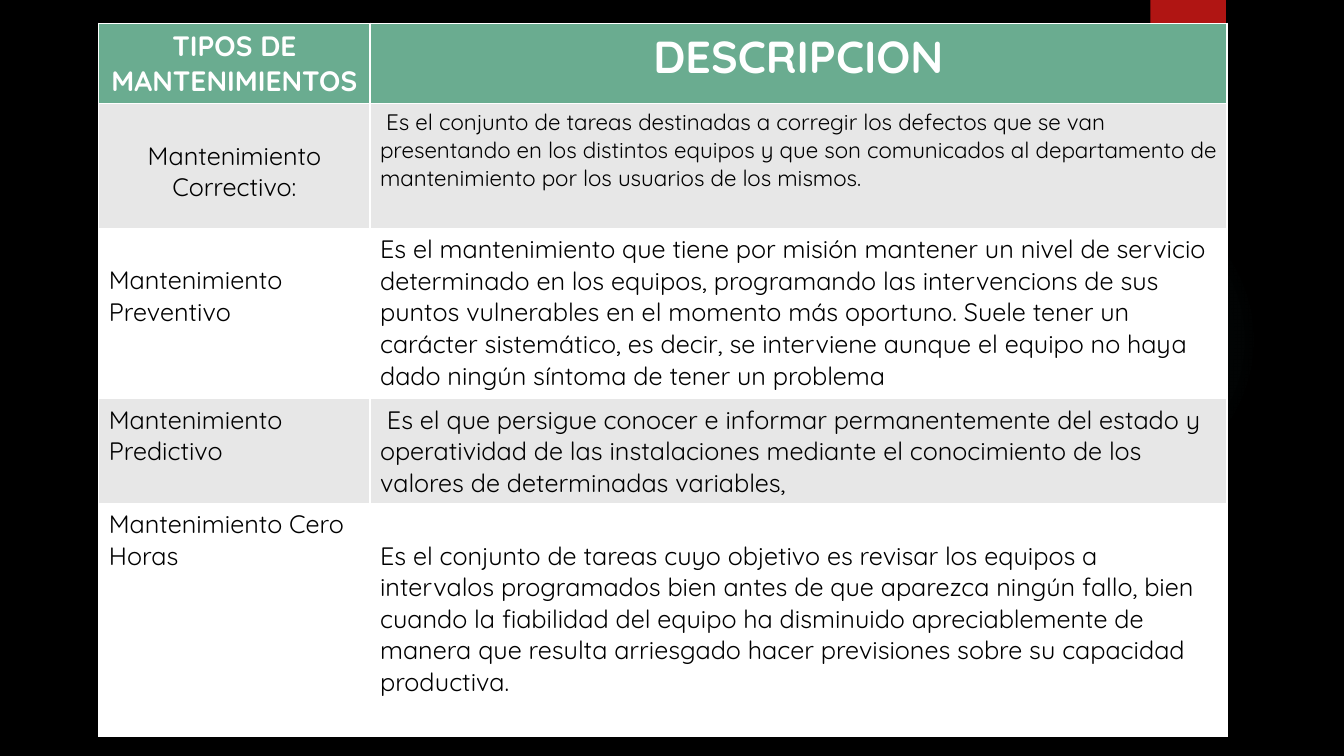
from dataclasses import dataclass

from lxml.etree import SubElement
from pptx import Presentation
from pptx.dml.color import RGBColor
from pptx.enum.shapes import MSO_SHAPE
from pptx.enum.text import PP_ALIGN
from pptx.oxml import parse_xml
from pptx.oxml.ns import nsdecls, qn
from pptx.util import Inches, Pt


@dataclass(frozen=True)
class Theme:
    font: str = "Quicksand"
    background: str = "000000"
    glow: str = "50B9C1"
    ribbon: str = "B01513"
    header: str = "6AAC90"
    band: str = "E7E7E7"
    white: str = "FFFFFF"
    text: str = "000000"
    title_size: int = 32
    heading_size: int = 20
    body_size: int = 18
    small_size: int = 16
    border_width: int = 1


@dataclass(frozen=True)
class Entry:
    text: str
    size: int = Theme.body_size
    centred: bool = False
    bold: bool = False
    lowered: bool = False


THEME = Theme()
COLUMN_WIDTHS = (2.69, 8.5)
ROW_HEIGHTS = (0.79, 1.24, 1.69, 1.02, 2.31)
LOWERED_MARGIN = 0.36

ROWS = (
    (
        Entry("TIPOS DE MANTENIMIENTOS", THEME.heading_size, centred=True, bold=True),
        Entry("DESCRIPCION", THEME.title_size, centred=True, bold=True),
    ),
    (
        Entry("Mantenimiento Correctivo:", centred=True, lowered=True),
        Entry(
            " Es el conjunto de tareas destinadas a corregir los defectos que se van "
            "presentando en los distintos equipos y que son comunicados al departamento de "
            "mantenimiento por los usuarios de los mismos.",
            THEME.small_size,
        ),
    ),
    (
        Entry("Mantenimiento Preventivo", lowered=True),
        Entry(
            "Es el mantenimiento que tiene por misión mantener un nivel de servicio "
            "determinado en los equipos, programando las intervencions de sus puntos "
            "vulnerables en el momento más oportuno. Suele tener un carácter sistemático, "
            "es decir, se interviene aunque el equipo no haya dado ningún síntoma de tener "
            "un problema"
        ),
    ),
    (
        Entry("Mantenimiento Predictivo"),
        Entry(
            " Es el que persigue conocer e informar permanentemente del estado y "
            "operatividad de las instalaciones mediante el conocimiento de los valores de "
            "determinadas variables,"
        ),
    ),
    (
        Entry("Mantenimiento Cero Horas"),
        Entry(
            "Es el conjunto de tareas cuyo objetivo es revisar los equipos a intervalos "
            "programados bien antes de que aparezca ningún fallo, bien cuando la fiabilidad "
            "del equipo ha disminuido apreciablemente de manera que resulta arriesgado hacer "
            "previsiones sobre su capacidad productiva.",
            lowered=True,
        ),
    ),
)


def paint(fill, color):
    fill.solid()
    fill.fore_color.rgb = RGBColor.from_string(color)


def add_plain_shape(slide, kind, left, top, width, height, color):
    shape = slide.shapes.add_shape(
        kind, Inches(left), Inches(top), Inches(width), Inches(height)
    )
    shape.shadow.inherit = False
    shape.line.fill.background()
    paint(shape.fill, color)
    return shape


def add_glow(slide):
    glow = add_plain_shape(slide, MSO_SHAPE.OVAL, 9.41, 1.83, 3.08, 3.08, THEME.glow)
    stops = "".join(
        f'<a:gs pos="{position * 1000}"><a:srgbClr val="{THEME.glow}">'
        f'<a:alpha val="{opacity * 1000}"/></a:srgbClr></a:gs>'
        for position, opacity in ((0, 7), (36, 6), (69, 0))
    )
    gradient = parse_xml(
        f'<a:gradFill {nsdecls("a")}><a:gsLst>{stops}</a:gsLst><a:path path="circle">'
        '<a:fillToRect l="50000" t="50000" r="50000" b="50000"/></a:path></a:gradFill>'
    )
    properties = glow.element.spPr
    properties.replace(properties.find(qn("a:solidFill")), gradient)


def add_borders(cell):
    properties = cell._tc.get_or_add_tcPr()
    for side in ("lnL", "lnR", "lnT", "lnB"):
        border = SubElement(properties, qn(f"a:{side}"), w=str(Pt(THEME.border_width)))
        solid = SubElement(border, qn("a:solidFill"))
        SubElement(solid, qn("a:srgbClr"), val=THEME.white)


def fill_cell(cell, entry, background, color):
    add_borders(cell)
    paint(cell.fill, background)
    if entry.lowered:
        cell.margin_top = Inches(LOWERED_MARGIN)
    cell.text_frame.text = entry.text
    paragraph = cell.text_frame.paragraphs[0]
    paragraph.alignment = PP_ALIGN.CENTER if entry.centred else PP_ALIGN.LEFT
    font = paragraph.runs[0].font
    font.name = THEME.font
    font.size = Pt(entry.size)
    font.bold = entry.bold
    font.color.rgb = RGBColor.from_string(color)


def add_maintenance_table(slide):
    table = slide.shapes.add_table(
        len(ROWS), len(COLUMN_WIDTHS), Inches(0.98), Inches(0.23),
        Inches(sum(COLUMN_WIDTHS)), Inches(sum(ROW_HEIGHTS)),
    ).table
    for column, width in zip(table.columns, COLUMN_WIDTHS):
        column.width = Inches(width)
    for index, (row, height, entries) in enumerate(zip(table.rows, ROW_HEIGHTS, ROWS)):
        row.height = Inches(height)
        if index == 0:
            background, color = THEME.header, THEME.white
        else:
            background, color = (THEME.band if index % 2 else THEME.white), THEME.text
        for cell, entry in zip(row.cells, entries):
            fill_cell(cell, entry, background, color)


def main():
    presentation = Presentation()
    presentation.slide_width = Inches(13.33)
    presentation.slide_height = Inches(7.5)
    slide = presentation.slides.add_slide(presentation.slide_layouts[6])
    paint(slide.background.fill, THEME.background)
    add_glow(slide)
    add_plain_shape(slide, MSO_SHAPE.RECTANGLE, 11.41, 0, 0.75, 1.25, THEME.ribbon)
    add_maintenance_table(slide)
    presentation.save("out.pptx")


if __name__ == "__main__":
    main()
